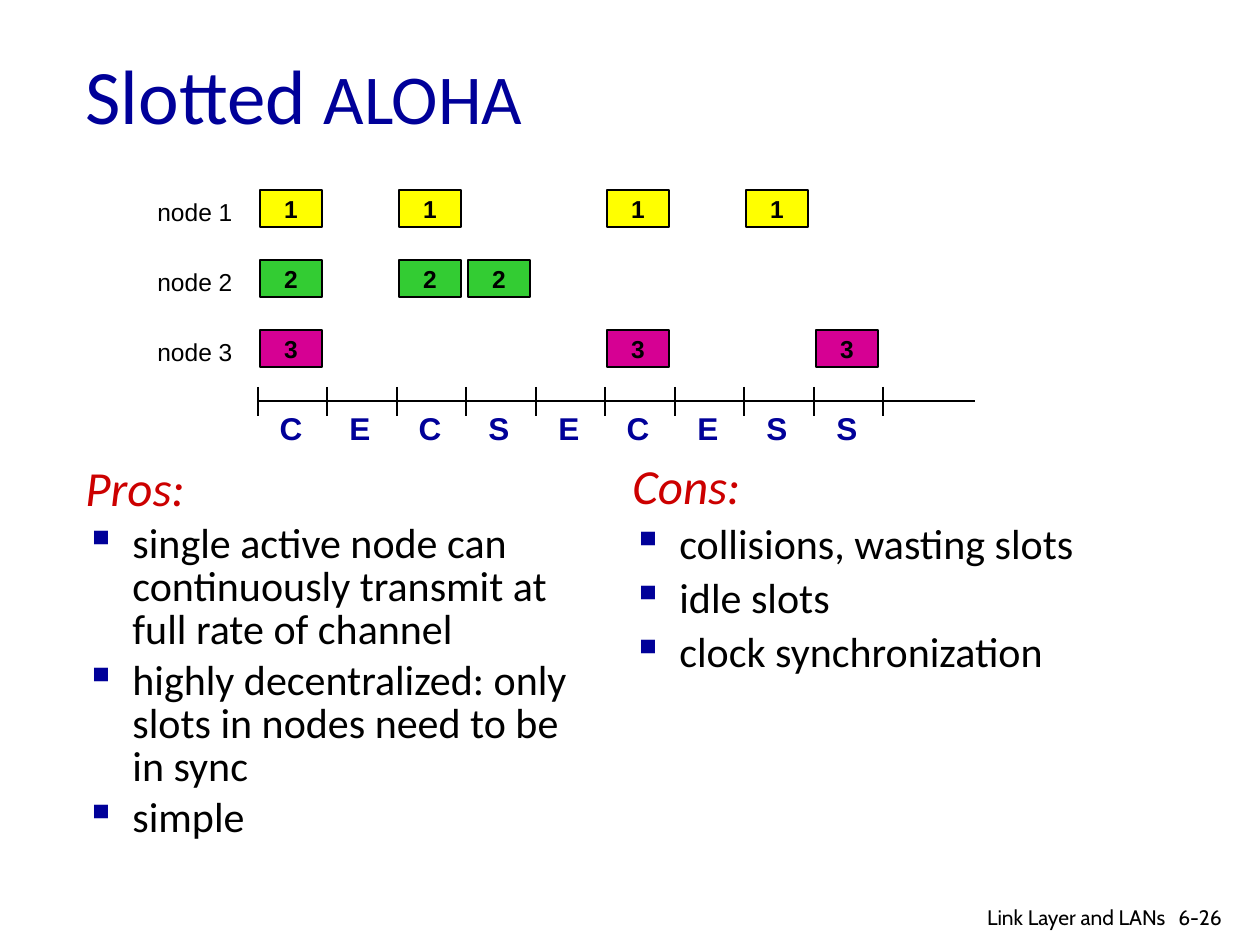
"""Build the Slotted ALOHA slide: a slot timeline above its pros and cons."""
from lxml import etree
from pptx import Presentation
from pptx.dml.color import RGBColor
from pptx.enum.shapes import MSO_CONNECTOR, MSO_SHAPE
from pptx.enum.text import MSO_ANCHOR, MSO_AUTO_SIZE, PP_ALIGN
from pptx.oxml.ns import qn
from pptx.util import Pt

RECT, LINE = MSO_SHAPE.RECTANGLE, MSO_CONNECTOR.STRAIGHT
MID, FIXED = MSO_ANCHOR.MIDDLE, MSO_AUTO_SIZE.NONE
LEFT, MIDDLE, RIGHT = PP_ALIGN.LEFT, PP_ALIGN.CENTER, PP_ALIGN.RIGHT
BLACK, NAVY, RED = "000000", "000099", "CC0000"

TITLE = [("Slotted ", 44), ("ALOHA", 40)]
NODES = [
    ("1", "FFFF00", [0, 2, 5, 7]),
    ("2", "33CC33", [0, 2, 3]),
    ("3", "D60093", [0, 5, 8]),
]
STATES = "CECSECESS"
LISTS = [
    (73, 460, 0.85, "Pros:", [
        "single active node can continuously transmit at full rate of channel",
        "highly decentralized: only slots in nodes need to be in sync",
        "simple",
    ]),
    (620, 456, 0.9, "Cons:", [
        "collisions, wasting slots",
        "idle slots",
        "clock synchronization",
    ]),
]
FOOTER = [
    ("6-26", (1166, 898, 76, 38), LEFT),
    ("Link Layer and LANs", (878, 898, 300, 33), RIGHT),
]
START, END, TAIL, AXIS = 258, 883, 975, 401
TOP, ROW, BOX = 190, 70, (62, 37)


def px(num):
    return round(num * 914400 / 126)


def color(code):
    return RGBColor.from_string(code)


def slot(num):
    return round(START + (END - START) * num / len(STATES))


def add_run(para, text, size, face, hue, bold=False, slant=False):
    run = para.add_run()
    run.text = text
    font = run.font
    font.size, font.name = Pt(size), face
    font.bold, font.italic = bold, slant
    font.color.rgb = color(hue)


def add_text(slide, area, wrap=True):
    frame = slide.shapes.add_textbox(*map(px, area)).text_frame
    frame.word_wrap = wrap
    return frame


def add_line(slide, ends, width):
    line = slide.shapes.add_connector(LINE, *map(px, ends))
    line.line.color.rgb = color(BLACK)
    line.line.width = Pt(width)
    etree.SubElement(line._element.spPr, qn("a:effectLst"))


def add_title(slide):
    title = slide.shapes.title
    title.left, title.top, title.width, title.height = map(px, (73, 15, 683, 158))
    frame = title.text_frame
    frame.auto_size, frame.vertical_anchor = FIXED, MID
    para = frame.paragraphs[0]
    para.alignment = LEFT
    for text, size in TITLE:
        add_run(para, text, size, "Calibri", NAVY)


def add_box(slide, text, fill, left, top):
    box = slide.shapes.add_shape(RECT, *map(px, (left, top, *BOX)))
    box.shadow.inherit = False
    box.fill.solid()
    box.fill.fore_color.rgb = color(fill)
    box.line.color.rgb = color(BLACK)
    box.line.width = Pt(0.75)
    frame = box.text_frame
    frame.margin_top = frame.margin_bottom = 0
    frame.vertical_anchor = MID
    para = frame.paragraphs[0]
    para.alignment = MIDDLE
    add_run(para, text, 14, "Arial", BLACK, bold=True)


def add_chart(slide):
    for row, (name, fill, slots) in enumerate(NODES):
        top = TOP + row * ROW
        para = add_text(slide, (145, top + 1, 100, 42), False).paragraphs[0]
        add_run(para, f"node {name}", 14, "Arial", BLACK)
        for num in slots:
            add_box(slide, name, fill, slot(num) + 2, top)
    add_line(slide, (START, AXIS, TAIL, AXIS), 0.75)
    for num in range(len(STATES) + 1):
        add_line(slide, (slot(num), AXIS - 14, slot(num), AXIS + 15), 1.5)
    for num, state in enumerate(STATES):
        para = add_text(slide, (slot(num) + 9, 403, 48, 50), False).paragraphs[0]
        para.alignment = MIDDLE
        add_run(para, state, 18, "Arial", NAVY, bold=True)


def set_para(para, size, space, bullet):
    para.line_spacing, para.space_before = space, Pt(size * 0.2)
    props = para._p.get_or_add_pPr()
    props.set("marL", str(px(47)))
    props.set("indent", str(-px(47)))
    if bullet:
        hue = etree.SubElement(props, qn("a:buClr"))
        etree.SubElement(hue, qn("a:srgbClr"), val=NAVY)
        etree.SubElement(props, qn("a:buChar"), char="▪")


def add_list(slide, left, top, space, head, items):
    frame = add_text(slide, (left, top, 525, 441))
    para = frame.paragraphs[0]
    set_para(para, 28, space, False)
    add_run(para, head, 28, "Calibri", RED, slant=True)
    for item in items:
        para = frame.add_paragraph()
        set_para(para, 24, space, True)
        add_run(para, item, 24, "Calibri", BLACK)


def main():
    deck = Presentation()
    deck.slide_width, deck.slide_height = px(1260), px(945)
    slide = deck.slides.add_slide(deck.slide_layouts.get_by_name("Title Only"))
    add_title(slide)
    for part in LISTS:
        add_list(slide, *part)
    add_chart(slide)
    for text, area, align in FOOTER:
        para = add_text(slide, area).paragraphs[0]
        para.alignment = align
        add_run(para, text, 12, "Cabin", BLACK)
    deck.save("out.pptx")


if __name__ == "__main__":
    main()
